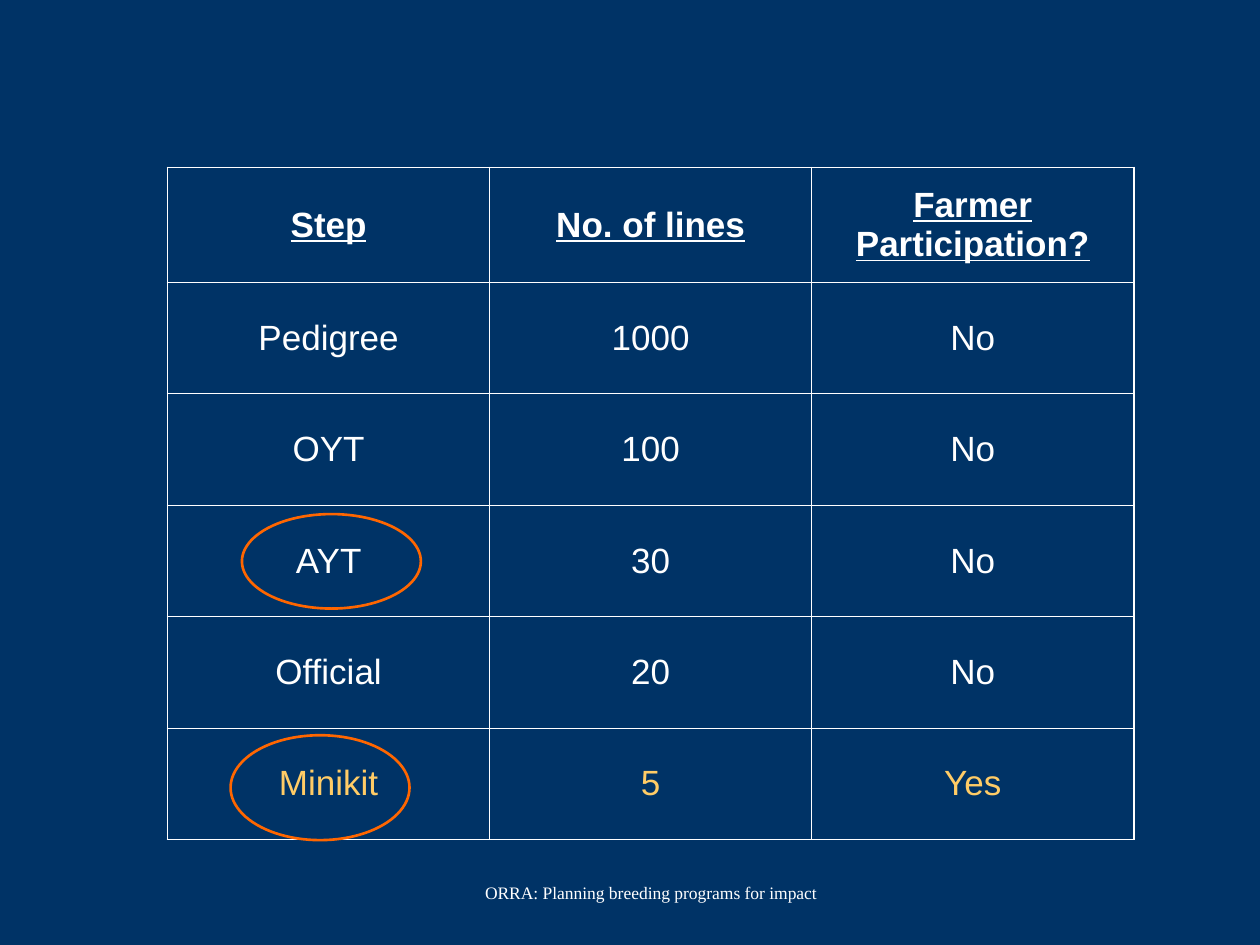
from lxml.etree import SubElement
from pptx import Presentation
from pptx.dml.color import RGBColor
from pptx.enum.shapes import MSO_SHAPE
from pptx.enum.text import MSO_ANCHOR, PP_ALIGN
from pptx.oxml.ns import qn
from pptx.util import Inches, Pt

NAVY = RGBColor(0x00, 0x33, 0x66)
WHITE = RGBColor(0xFF, 0xFF, 0xFF)
GOLD = RGBColor(0xFF, 0xCC, 0x66)
ORANGE = RGBColor(0xFF, 0x66, 0x00)

SLIDE_WIDTH, SLIDE_HEIGHT = Inches(10), Inches(7.5)
THIN, THICK = Pt(0.45), Pt(1.08)
ROW_HEIGHTS = [0.91] + [0.885] * 5

STEPS = [
    ("Step", "No. of lines", "Farmer Participation?"),
    ("Pedigree", "1000", "No"),
    ("OYT", "100", "No"),
    ("AYT", "30", "No"),
    ("Official", "20", "No"),
    ("Minikit", "5", "Yes"),
]


def share(left, top, width, height):
    return (int(left * SLIDE_WIDTH), int(top * SLIDE_HEIGHT),
            int(width * SLIDE_WIDTH), int(height * SLIDE_HEIGHT))


def style_text(paragraph, font_name, size, color):
    paragraph.alignment = PP_ALIGN.CENTER
    paragraph.font.name = font_name
    paragraph.font.size = Pt(size)
    paragraph.font.color.rgb = color


def add_borders(cell, outer_edges):
    properties = cell._tc.get_or_add_tcPr()
    for edge, is_outer in outer_edges.items():
        border = SubElement(properties, qn(f"a:{edge}"),
                            w=str(THICK if is_outer else THIN))
        paint = SubElement(border, qn("a:solidFill"))
        SubElement(paint, qn("a:srgbClr"), val=str(WHITE))


def fill_cell(cell, wording, color, is_header):
    cell.text = wording
    cell.vertical_anchor = MSO_ANCHOR.MIDDLE
    paragraph = cell.text_frame.paragraphs[0]
    style_text(paragraph, "Arial", 20, color)
    paragraph.space_before = Pt(5)
    paragraph.font.bold = is_header
    paragraph.font.underline = is_header


def add_steps_table(slide):
    last_row, last_column = len(STEPS) - 1, len(STEPS[0]) - 1
    table = slide.shapes.add_table(
        len(STEPS), len(STEPS[0]), Inches(1.33), Inches(1.33),
        Inches(7.67), Inches(sum(ROW_HEIGHTS))).table
    table.horz_banding = False
    for row, height in zip(table.rows, ROW_HEIGHTS):
        row.height = Inches(height)
    for r, step in enumerate(STEPS):
        for c, wording in enumerate(step):
            cell = table.cell(r, c)
            fill_cell(cell, wording, GOLD if r == last_row else WHITE, r == 0)
            add_borders(cell, {"lnL": c == 0, "lnR": c == last_column,
                               "lnT": r == 0, "lnB": r == last_row})
            cell.fill.background()


def add_highlight(slide, left, top, width, height):
    ring = slide.shapes.add_shape(MSO_SHAPE.OVAL,
                                  *share(left, top, width, height))
    ring.shadow.inherit = False
    ring.fill.background()
    ring.line.color.rgb = ORANGE
    ring.line.width = Pt(1.5)


def add_footer(slide, wording):
    frame = slide.shapes.add_textbox(
        *share(0.292, 0.911, 0.425, 0.067)).text_frame
    frame.word_wrap = True
    frame.vertical_anchor = MSO_ANCHOR.MIDDLE
    paragraph = frame.paragraphs[0]
    paragraph.text = wording
    style_text(paragraph, "Times New Roman", 10, WHITE)
    paragraph._p.get_or_add_pPr().set("marL", str(Inches(0.24)))


def main():
    deck = Presentation()
    deck.slide_width, deck.slide_height = SLIDE_WIDTH, SLIDE_HEIGHT
    slide = deck.slides.add_slide(deck.slide_layouts[6])
    slide.background.fill.solid()
    slide.background.fill.fore_color.rgb = NAVY
    add_steps_table(slide)
    add_highlight(slide, 0.192, 0.544, 0.142, 0.1)
    add_highlight(slide, 0.183, 0.778, 0.142, 0.111)
    add_footer(slide, "ORRA: Planning breeding programs for impact")
    deck.save("out.pptx")


if __name__ == "__main__":
    main()
